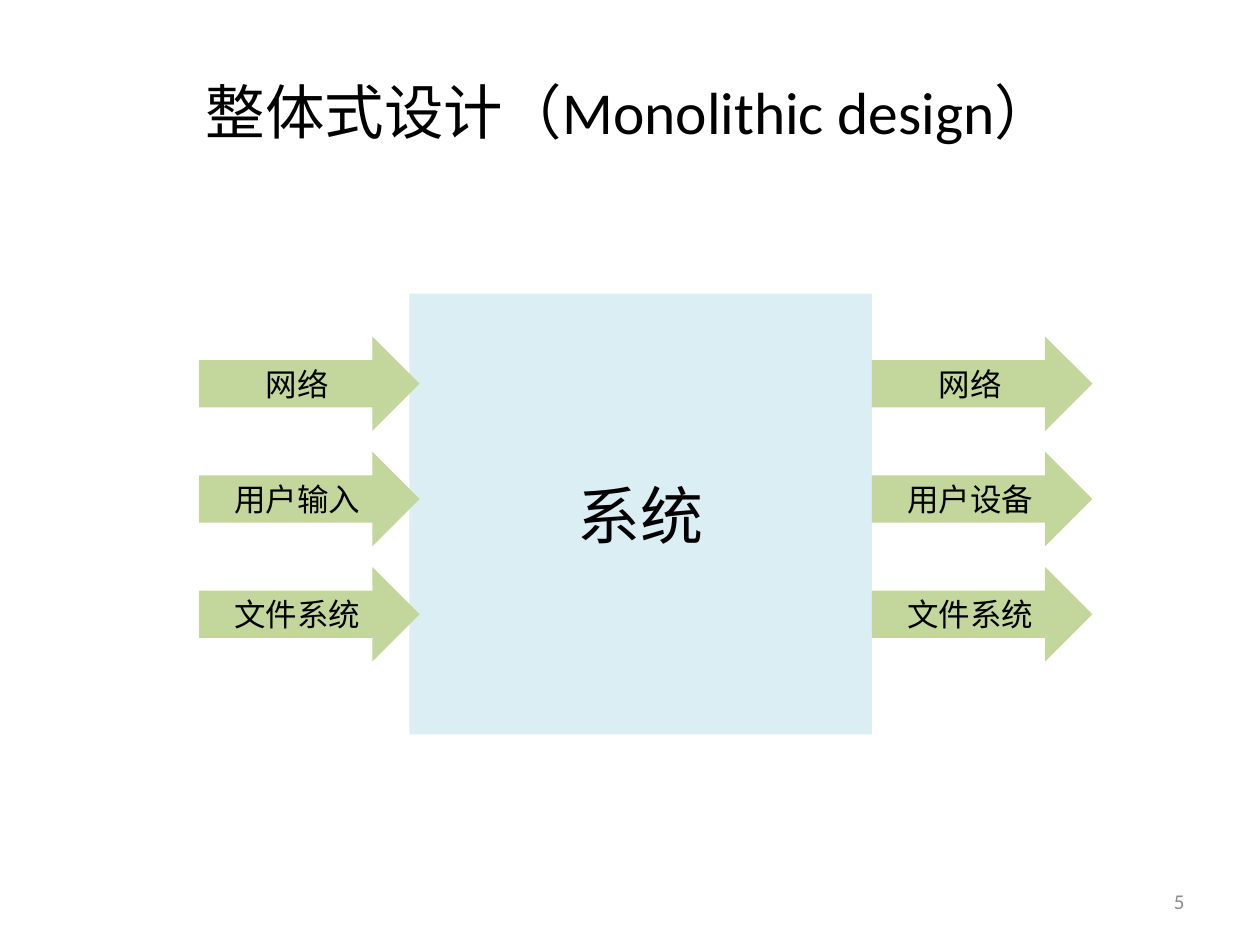
from lxml.etree import SubElement
from pptx import Presentation
from pptx.dml.color import RGBColor
from pptx.enum.shapes import MSO_SHAPE
from pptx.enum.text import MSO_ANCHOR, PP_ALIGN
from pptx.oxml.ns import qn
from pptx.util import Inches, Pt

CHINESE = "Noto Sans CJK SC"
LATIN = "Calibri"
ARROW_WIDTH, ARROW_HEIGHT = 1.75, 0.75
ARROW_TOP, ARROW_STEP = 2.67, 0.915


def color(hex_code):
    """Turn a hex string into a colour."""
    return RGBColor.from_string(hex_code)


def write(shape, parts, size, hex_code="000000", align=PP_ALIGN.CENTER):
    """Write (text, font) parts as one vertically centred paragraph."""
    frame = shape.text_frame
    frame.word_wrap = True
    frame.vertical_anchor = MSO_ANCHOR.MIDDLE
    paragraph = frame.paragraphs[0]
    paragraph.alignment = align
    for text, typeface in parts:
        run = paragraph.add_run()
        run.text = text
        run.font.size = Pt(size)
        run.font.color.rgb = color(hex_code)
        run.font.name = typeface
        SubElement(run.font._element, qn("a:ea"), typeface=typeface)


def add_text(slide, box, parts, size, **style):
    """Add a text box."""
    label = slide.shapes.add_textbox(*map(Inches, box))
    write(label, parts, size, **style)


def add_block(slide, preset, box, fill, text, size):
    """Add a filled, borderless shape with a Chinese label."""
    block = slide.shapes.add_shape(preset, *map(Inches, box))
    block.shadow.inherit = False
    block.fill.solid()
    block.fill.fore_color.rgb = color(fill)
    block.line.fill.background()
    write(block, [(text, CHINESE)], size)


def add_arrows(slide, left, labels):
    """Stack one right arrow per label at equal steps."""
    for row, label in enumerate(labels):
        box = (left, ARROW_TOP + row * ARROW_STEP, ARROW_WIDTH, ARROW_HEIGHT)
        add_block(slide, MSO_SHAPE.RIGHT_ARROW, box, "C3D69B", label, 18)


def main():
    """Build the monolithic design slide."""
    deck = Presentation()
    deck.slide_width, deck.slide_height = Inches(10), Inches(7.5)
    slide = deck.slides.add_slide(deck.slide_layouts[6])

    title = [("整体式设计（", CHINESE), ("Monolithic design", LATIN), ("）", CHINESE)]
    add_text(slide, (0.5, 0.25, 9, 1.25), title, 34)
    add_block(slide, MSO_SHAPE.RECTANGLE, (3.25, 2.33, 3.67, 3.5), "DBEEF4", "系统", 36)
    add_arrows(slide, 1.58, ["网络", "用户输入", "文件系统"])
    add_arrows(slide, 6.92, ["网络", "用户设备", "文件系统"])
    add_text(slide, (7.17, 6.95, 2.33, 0.4), [("5", LATIN)], 12,
             hex_code="8C8C8C", align=PP_ALIGN.RIGHT)

    deck.save("out.pptx")


if __name__ == "__main__":
    main()
